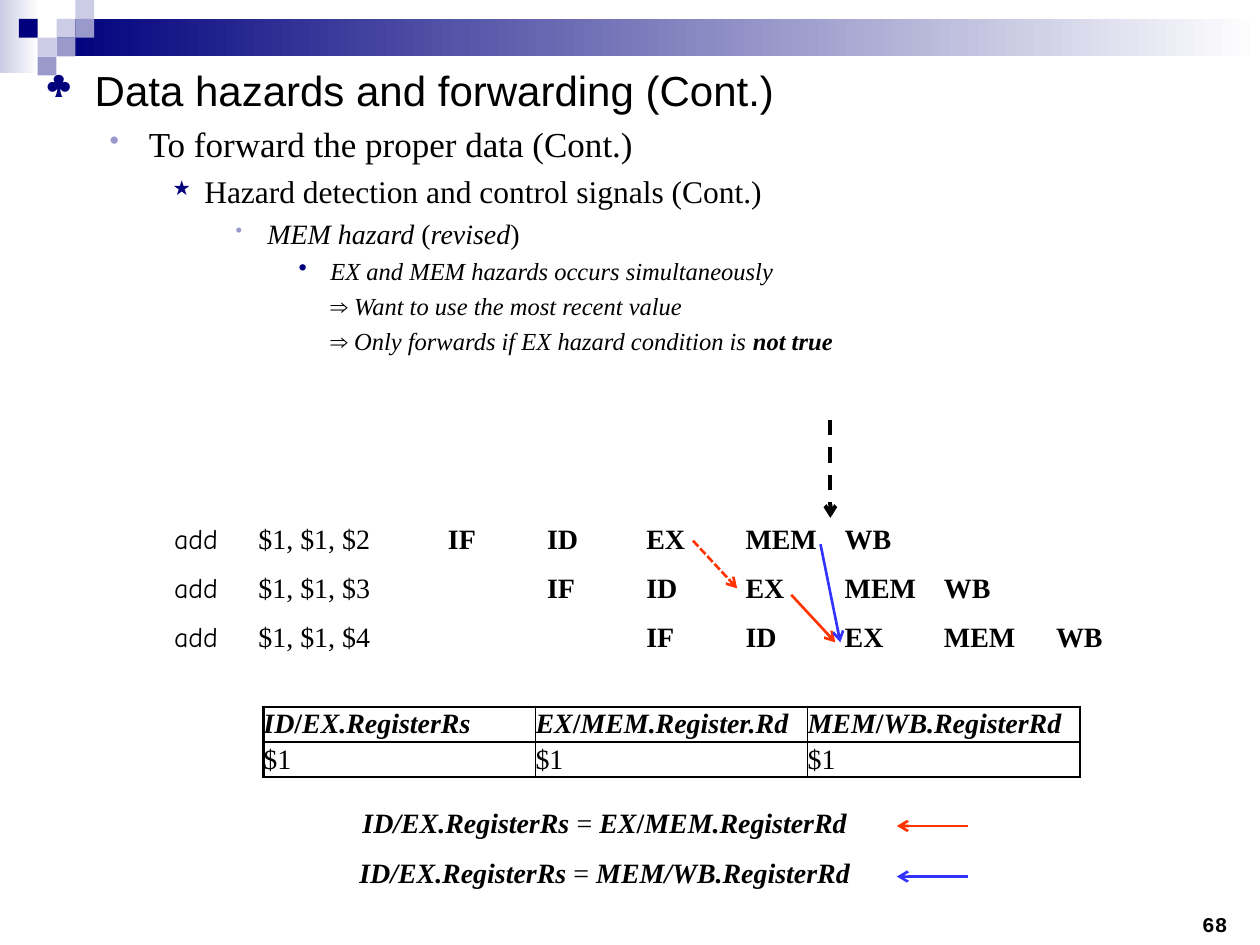
from lxml import etree
from pptx import Presentation
from pptx.dml.color import RGBColor
from pptx.enum.dml import MSO_LINE
from pptx.enum.shapes import MSO_CONNECTOR, MSO_SHAPE
from pptx.enum.text import MSO_ANCHOR, PP_ALIGN
from pptx.oxml.ns import qn
from pptx.util import Cm, Pt

RECTANGLE = MSO_SHAPE.RECTANGLE
STRAIGHT = MSO_CONNECTOR.STRAIGHT
DASH, SHORT_DASH = MSO_LINE.DASH, MSO_LINE.SQUARE_DOT
MIDDLE, TOP = MSO_ANCHOR.MIDDLE, MSO_ANCHOR.TOP
CENTER, LEFT = PP_ALIGN.CENTER, PP_ALIGN.LEFT

COLORS = {
    "navy": "00007D", "lilac": "9999CC", "pale": "CCCCE6", "white": "FFFFFF",
    "black": "000000", "red": "FF3300", "blue": "3333FF",
}
SERIF, SANS, MONO, COMIC = "Times New Roman", "Arial", "Courier New", "Comic Neue"

SQUARE = 0.38
SQUARES = [(3, 1, "pale"), (4, 0, "pale"), (4, 1, "lilac"), (2, 2, "pale"),
           (1, 1, "navy"), (3, 2, "lilac"), (2, 3, "lilac")]

OUTLINE = [
    (0, 0.97, -0.97, ("♣", "navy", 75), 24, SANS,
     [("Data hazards and forwarding (Cont.)", "")]),
    (1, 2.06, -0.79, ("•", "lilac", 80), 20, SERIF,
     [("To forward the proper data (Cont.)", "")]),
    (2, 3.18, -0.64, ("★", "navy", 65), 18, SERIF,
     [("Hazard detection and control signals (Cont.)", "")]),
    (3, 4.45, -0.64, ("•", "lilac", 70), 16, SERIF,
     [("MEM hazard", "i"), (" (", ""), ("revised", "i"), (")", "")]),
    (4, 5.72, -0.64, ("•", "navy", 100), 14, SERIF,
     [("EX and MEM hazards occurs simultaneously", "i")]),
    (4, 5.72, 0, None, 14, SERIF,
     [("⇒ ", ""), ("Want to use the most recent value", "i")]),
    (4, 5.72, 0, None, 14, SERIF,
     [("⇒ ", ""), ("Only forwards if EX hazard condition is ", "i"), ("not true", "bi")]),
]

STAGES = "IF\tID\tEX\tMEM\tWB"
OPERANDS = ["$1, $1, $2", "$1, $1, $3", "$1, $1, $4"]
STAGE_TABS = [1.7] + [5.52 + 2 * cycle for cycle in range(6)] + [17.78]

REGISTERS = [
    [[("ID", "bi"), ("/", "b"), ("EX.RegisterRs", "bi")],
     [("EX", "bi"), ("/", "b"), ("MEM.Register.Rd", "bi")],
     [("MEM", "bi"), ("/", "b"), ("WB.RegisterRd", "bi")]],
    [[("$1", "")]] * 3,
]

CONDITIONS = [
    (16.23, "red", [("ID/EX.RegisterRs ", "bi"), ("=", ""), (" EX", "bi"),
                    ("/", "b"), ("MEM.RegisterRd", "bi")]),
    (17.25, "blue", [("ID/EX.RegisterRs ", "bi"), ("=", ""),
                     (" MEM/WB.RegisterRd", "bi")]),
]

FORWARDS = [
    ((13.97, 10.9), (14.86, 11.86), "red", 1.5, SHORT_DASH),
    ((15.95, 11.99), (16.84, 12.95), "red", 1.5, None),
    ((16.54, 10.97), (16.94, 12.95), "blue", 1.5, None),
    ((16.74, 8.46), (16.74, 10.44), "black", 2.25, DASH),
]


def rgb(name):
    return RGBColor.from_string(COLORS[name])


def write(paragraph, text, size=16, font=SERIF, style="", color="black"):
    run = paragraph.add_run()
    run.text = text
    run.font.size = Pt(size)
    run.font.name = font
    run.font.bold = "b" in style
    run.font.italic = "i" in style
    run.font.color.rgb = rgb(color)


def write_runs(paragraph, runs, **text_format):
    for text, style in runs:
        write(paragraph, text, style=style, **text_format)


def add_text_frame(slide, left, top, width, height, inset=(0, 0), anchor=TOP):
    frame = slide.shapes.add_textbox(Cm(left), Cm(top), Cm(width), Cm(height)).text_frame
    frame.word_wrap = True
    frame.vertical_anchor = anchor
    frame.margin_left = frame.margin_right = Cm(inset[0])
    frame.margin_top = frame.margin_bottom = Cm(inset[1])
    return frame


def next_paragraph(frame, index, space_before):
    if index == 0:
        return frame.paragraphs[0]
    paragraph = frame.add_paragraph()
    paragraph.space_before = Pt(space_before)
    return paragraph


def add_block(slide, left, top, width, height, color, fade=False):
    block = slide.shapes.add_shape(RECTANGLE, Cm(left), Cm(top), Cm(width), Cm(height))
    block.shadow.inherit = False
    block.line.fill.background()
    if fade:
        block.fill.gradient()
        block.fill.gradient_angle = 0
        for stop, shade in zip(block.fill.gradient_stops, (color, "white")):
            stop.color.rgb = rgb(shade)
    else:
        block.fill.solid()
        block.fill.fore_color.rgb = rgb(color)


def add_arrow(slide, start, end, color, width=1.5, dash=None):
    arrow = slide.shapes.add_connector(
        STRAIGHT, Cm(start[0]), Cm(start[1]), Cm(end[0]), Cm(end[1]))
    arrow.line.color.rgb = rgb(color)
    arrow.line.width = Pt(width)
    if dash is not None:
        arrow.line.dash_style = dash
    etree.SubElement(arrow.line._get_or_add_ln(), qn("a:tailEnd"), type="arrow")
    etree.SubElement(arrow._element.spPr, qn("a:effectLst"))


def set_bullet(paragraph, margin, indent, bullet):
    properties = paragraph._p.get_or_add_pPr()
    properties.set("marL", str(Cm(margin)))
    properties.set("indent", str(Cm(indent)))
    if bullet is None:
        etree.SubElement(properties, qn("a:buNone"))
        return
    symbol, color, percent = bullet
    tint = etree.SubElement(properties, qn("a:buClr"))
    etree.SubElement(tint, qn("a:srgbClr"), val=COLORS[color])
    etree.SubElement(properties, qn("a:buSzPct"), val=str(percent * 1000))
    etree.SubElement(properties, qn("a:buChar"), char=symbol)


def set_tabs(paragraph, positions):
    stops = etree.SubElement(paragraph._p.get_or_add_pPr(), qn("a:tabLst"))
    for position in positions:
        etree.SubElement(stops, qn("a:tab"), pos=str(Cm(position)), algn="l")


def set_borders(cell, widths):
    properties = cell._tc.get_or_add_tcPr()
    for side, width in zip("LRTB", widths):
        border = etree.SubElement(properties, qn(f"a:ln{side}"), w=str(Pt(width)))
        fill = etree.SubElement(border, qn("a:solidFill"))
        etree.SubElement(fill, qn("a:srgbClr"), val=COLORS["black"])


def add_banner(slide):
    add_block(slide, 0, 0, 0.79, 1.47, "pale", fade=True)
    add_block(slide, 1.14, SQUARE, 24.26, 0.76, "navy", fade=True)
    for column, row, color in SQUARES:
        add_block(slide, column * SQUARE, row * SQUARE, SQUARE, SQUARE, color)


def add_outline(slide):
    frame = add_text_frame(slide, 0.69, 1.17, 24.2, 6.35, inset=(0.25, 0.13))
    for index, (level, margin, indent, bullet, size, font, runs) in enumerate(OUTLINE):
        paragraph = next_paragraph(frame, index, round(size * 0.23, 1))
        paragraph.level = level
        set_bullet(paragraph, margin, indent, bullet)
        write_runs(paragraph, runs, size=size, font=font)


def add_pipeline(slide):
    frame = add_text_frame(slide, 3.51, 10.52, 18.95, 2.72)
    for cycle, operands in enumerate(OPERANDS):
        paragraph = next_paragraph(frame, cycle, 8.7)
        set_tabs(paragraph, STAGE_TABS)
        write(paragraph, "add\t", font=COMIC)
        write(paragraph, operands + "\t" * (cycle + 1))
        write(paragraph, STAGES, style="b")
    for forward in FORWARDS:
        add_arrow(slide, *forward)


def add_registers(slide):
    table = slide.shapes.add_table(2, 3, Cm(5.31), Cm(14.25), Cm(16.46), Cm(1.42)).table
    table.first_row = table.horz_banding = False
    for row, cells in enumerate(REGISTERS):
        for column, runs in enumerate(cells):
            cell = table.cell(row, column)
            cell.margin_left = cell.margin_right = cell.margin_top = cell.margin_bottom = 0
            cell.vertical_anchor = MIDDLE
            set_borders(cell, (1.5 if column == 0 else 0.75,
                               1.5 if column == 2 else 0.75, 1.5, 1.5))
            cell.fill.background()
            write_runs(cell.text_frame.paragraphs[0], runs)


def add_conditions(slide):
    for top, color, runs in CONDITIONS:
        paragraph = add_text_frame(slide, 6.96, top, 10.46, 0.69).paragraphs[0]
        paragraph.alignment = CENTER
        write_runs(paragraph, runs)
        add_arrow(slide, (19.51, top + 0.42), (18.08, top + 0.42), color)


def add_page_number(slide):
    paragraph = add_text_frame(slide, 23.6, 18.34, 1.78, 0.58, anchor=MIDDLE).paragraphs[0]
    paragraph.alignment = CENTER
    write(paragraph, "68", size=12, font=MONO, style="b")


def main():
    deck = Presentation()
    deck.slide_width, deck.slide_height = Cm(25.4), Cm(19.05)
    slide = deck.slides.add_slide(deck.slide_layouts[6])
    add_banner(slide)
    add_page_number(slide)
    add_outline(slide)
    add_pipeline(slide)
    add_registers(slide)
    add_conditions(slide)
    deck.save("out.pptx")


if __name__ == "__main__":
    main()
